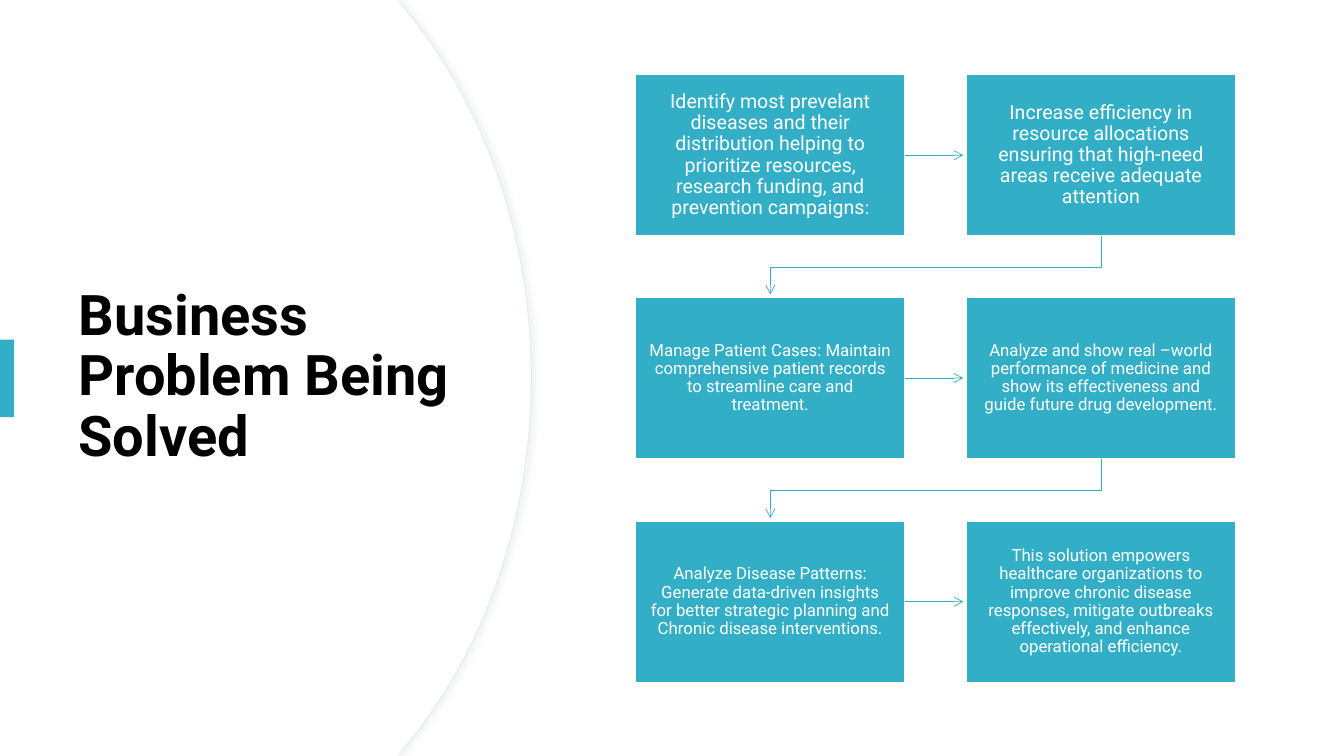
from lxml import etree
from pptx import Presentation
from pptx.dml.color import RGBColor
from pptx.enum.shapes import MSO_CONNECTOR as Connector, MSO_SHAPE as Shape
from pptx.enum.text import MSO_ANCHOR as Anchor, PP_ALIGN as Align
from pptx.oxml.ns import qn
from pptx.util import Inches, Pt

# Content
TITLE = "Business Problem Being Solved"
STEPS = [  # runs of (text, size)
    [("Identify most prevelant diseases and their distribution helping to prioritize "
      "resources, research funding, and prevention campaigns", 14), (":", 13)],
    [("Increase efficiency in resource allocations ensuring that high-need areas "
      "receive adequate attention", 14)],
    [("Manage Patient Cases: Maintain comprehensive patient records to streamline "
      "care and treatment.", 12)],
    [("Analyze and show real –world performance of medicine and show its "
      "effectiveness and guide future drug development.", 12)],
    [("Analyze Disease Patterns: Generate data-driven insights for better strategic "
      "planning and Chronic disease interventions.", 12)],
    [("This solution empowers healthcare organizations to improve chronic disease "
      "responses, mitigate outbreaks effectively, and enhance operational "
      "efficiency.", 12)],
]
COLORS = {"teal": "32AFC7", "white": "FFFFFF", "black": "000000",
          "edge": "E3EDEF", "shade": "D9D9D9"}
FONT = "Roboto"

# Layout, in inches
SLIDE_W, SLIDE_H = 13.33, 7.5
COLUMN_CENTERS = [7.64, 10.92]
ROW_TOPS = [0.74, 2.95, 5.17]
STEP_W, STEP_H = 2.67, 1.6
ARROW_GAP = 0.03  # between an arrowhead and the next step

deck = Presentation()
deck.slide_width, deck.slide_height = Inches(SLIDE_W), Inches(SLIDE_H)
slide = deck.slides.add_slide(deck.slide_layouts[6])
shapes = slide.shapes


def color(name):
    return RGBColor.from_string(COLORS[name])


def paint(shape, fill=None, line=None, width=0.75):
    shape.shadow.inherit = False
    if fill:
        shape.fill.solid()
        shape.fill.fore_color.rgb = color(fill)
    else:
        shape.fill.background()
    if line:
        shape.line.color.rgb = color(line)
        shape.line.width = Pt(width)
    else:
        shape.line.fill.background()


def write(shape, runs, *, ink, bold=False, align=Align.LEFT, insets=(0.1, 0.05)):
    frame = shape.text_frame
    frame.word_wrap = True
    frame.vertical_anchor = Anchor.MIDDLE
    frame.margin_left = frame.margin_right = Inches(insets[0])
    frame.margin_top = frame.margin_bottom = Inches(insets[1])
    paragraph = frame.paragraphs[0]
    paragraph.alignment, paragraph.line_spacing = align, 0.9
    for text, size in runs:
        run = paragraph.add_run()
        run.text = text
        run.font.name, run.font.size, run.font.bold = FONT, Pt(size), bold
        run.font.color.rgb = color(ink)


def add_box(x, y, width, height, fill, line=None, line_width=0.75):
    box = shapes.add_shape(Shape.RECTANGLE, Inches(x), Inches(y),
                           Inches(width), Inches(height))
    paint(box, fill, line, line_width)
    return box


def outline(points, close):
    start, *rest = [(Inches(x), Inches(y)) for x, y in points]
    builder = shapes.build_freeform(*start)
    builder.add_line_segments(rest, close=close)
    return builder.convert_to_shape()


def bend(segment, controls):
    """Turn a straight segment of an outline at the slide's corner into a curve."""
    segment.tag = qn("a:cubicBezTo")
    for index, (x, y) in enumerate(controls):
        point = etree.Element(qn("a:pt"), x=str(Inches(x)), y=str(Inches(y)))
        segment.insert(index, point)


def add_arrowhead(shape):
    etree.SubElement(shape.line._get_or_add_ln(), qn("a:tailEnd"), type="arrow")


def add_panel(right, line=None):
    shoulder, bulge = right - 1.26, right - 0.48
    panel = outline([(0, 0), (3.94, 0), (shoulder, 0.08), (right, SLIDE_H / 2),
                     (shoulder, SLIDE_H - 0.08), (3.94, SLIDE_H), (0, SLIDE_H)],
                    close=True)
    segments = list(panel._element.iter(qn("a:lnTo")))
    upper = [(bulge, 1.02), (right, 2.32)]
    lower = [(x, SLIDE_H - y) for x, y in reversed(upper)]
    for segment, controls in zip(segments[2:4], (upper, lower)):
        bend(segment, controls)
    paint(panel, "white", line)
    return panel


# Backdrop
add_box(0, 0, SLIDE_W, SLIDE_H, "white")

# Curved title panel: shadowed edge, then a plain face over it
panel_edge = add_panel(5.27, "edge")
effects = panel_edge._element.spPr.find(qn("a:effectLst"))
shadow = etree.SubElement(effects, qn("a:outerShdw"), blurRad=str(Pt(4)),
                          dist=str(Pt(3)), dir="0", algn="l", rotWithShape="0")
shade = etree.SubElement(shadow, qn("a:srgbClr"), val=COLORS["shade"])
etree.SubElement(shade, qn("a:alpha"), val="30000")
add_panel(5.26)

# Title and accent bar
title = shapes.add_textbox(Inches(0.68), Inches(1.27), Inches(3.94), Inches(4.95))
write(title, [(TITLE, 40)], ink="black", bold=True)
add_box(0, 3.37, 0.14, 0.77, "teal")

# Steps, each with an arrow to the next
for index, runs in enumerate(STEPS):
    row, column = divmod(index, len(COLUMN_CENTERS))
    center, top = COLUMN_CENTERS[column], ROW_TOPS[row]
    step = add_box(center - STEP_W / 2, top, STEP_W, STEP_H, "teal", "white", 1)
    write(step, runs, ink="white", align=Align.CENTER, insets=(0.13, 0.14))
    if index == len(STEPS) - 1:
        continue
    if column < len(COLUMN_CENTERS) - 1:
        middle = Inches(top + STEP_H / 2)
        next_left = COLUMN_CENTERS[column + 1] - STEP_W / 2
        arrow = shapes.add_connector(Connector.STRAIGHT, Inches(center + STEP_W / 2),
                                     middle, Inches(next_left - ARROW_GAP), middle)
        arrow.begin_connect(step, 3)
        etree.SubElement(arrow._element.spPr, qn("a:effectLst"))
        arrow.line.color.rgb, arrow.line.width = color("teal"), Pt(0.5)
    else:
        bottom, next_center = top + STEP_H, COLUMN_CENTERS[0]
        turn = bottom + 0.31
        arrow = outline([(center, bottom), (center, turn), (next_center, turn),
                         (next_center, ROW_TOPS[row + 1] - ARROW_GAP)], close=False)
        paint(arrow, line="teal", width=0.5)
    add_arrowhead(arrow)

deck.save("out.pptx")
